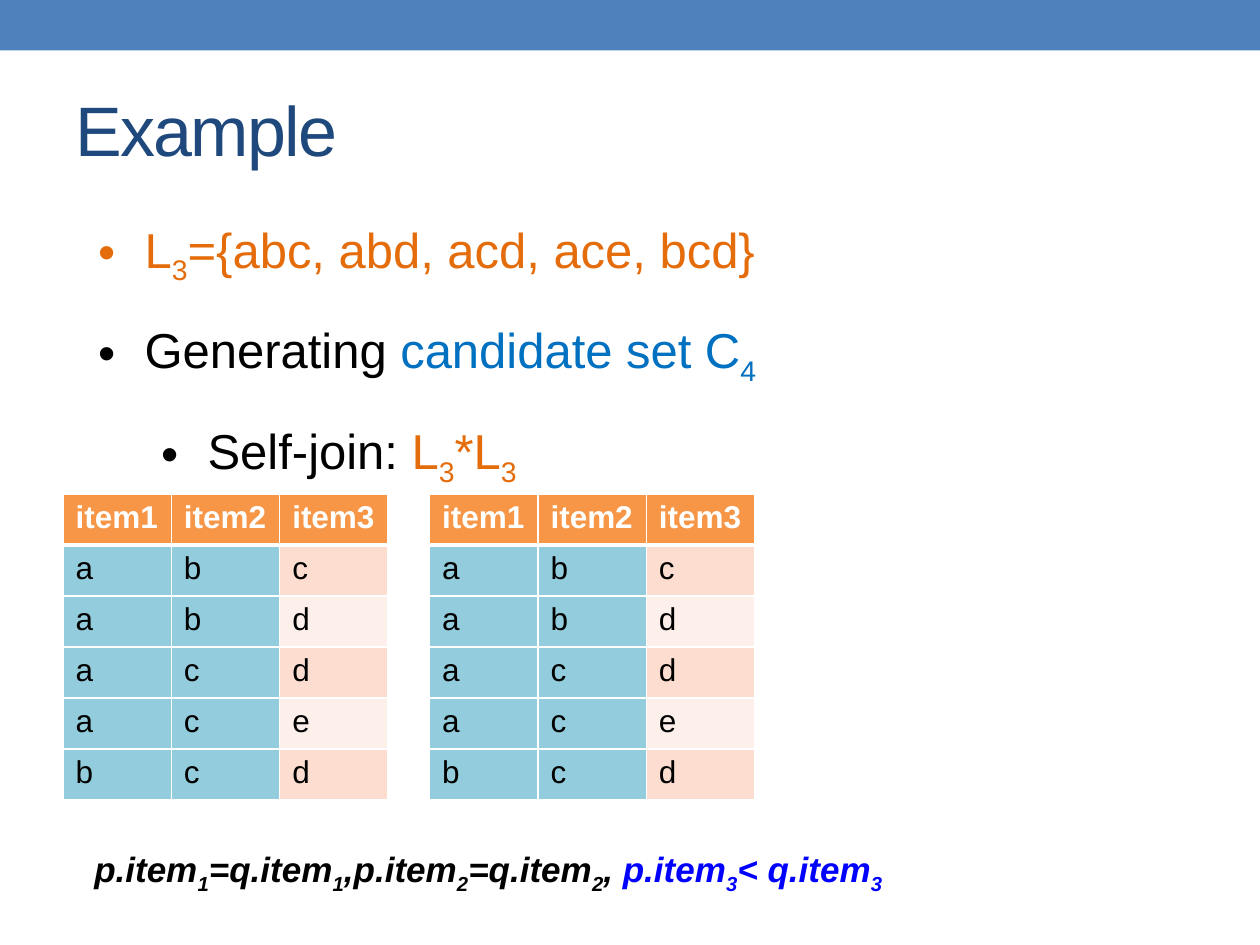
import pptx
import pptx.dml.color
import pptx.enum.shapes
import pptx.enum.text
import pptx.oxml.ns
import pptx.util
from lxml import etree

Inches = pptx.util.Inches
Pt = pptx.util.Pt
RGBColor = pptx.dml.color.RGBColor
qn = pptx.oxml.ns.qn

BLACK = RGBColor(0x00, 0x00, 0x00)
WHITE = RGBColor(0xFF, 0xFF, 0xFF)
BAND = RGBColor(0x4F, 0x81, 0xBD)
NAVY = RGBColor(0x1F, 0x49, 0x7D)
ORANGE = RGBColor(0xE4, 0x6C, 0x0A)
SKY = RGBColor(0x00, 0x70, 0xC0)
BLUE = RGBColor(0x00, 0x00, 0xFF)
HEADER = RGBColor(0xF7, 0x96, 0x46)
SHARED = RGBColor(0x93, 0xCD, 0xDD)
STRIPES = [RGBColor(0xFC, 0xDD, 0xCF), RGBColor(0xFD, 0xEF, 0xE9)]

# Content: spans are (text, colour); "_" comes before a subscript digit
TITLE = "Example"
BULLETS = [
    (0.37, [("L_3={abc, abd, acd, ace, bcd}", ORANGE)]),
    (0.37, [("Generating ", BLACK), ("candidate set C_4", SKY)]),
    (0.87, [("Self-join: ", BLACK), ("L_3*L_3", ORANGE)]),
]
CONDITION = [
    ("p.item_1=q.item_1,p.item_2=q.item_2, ", BLACK),
    ("p.item_3< q.item_3", BLUE),
]
ITEMS = [["item1", "item2", "item3"]] + [list(row) for row in ("abc", "abd", "acd", "ace", "bcd")]

# Layout
TABLE_LEFTS = [0.5, 3.41]
TABLE_TOP = 3.92
COLUMN_WIDTH = 0.86
ROW_HEIGHT = 0.405

TITLE_FORMAT = {"size": Pt(40)}
BULLET_FORMAT = {"size": Pt(28)}
CONDITION_FORMAT = {"size": Pt(20), "bold": True, "italic": True}


def add_span(para, text, color, formats):
    span = para.add_run()
    span.text = text
    span.font.name = "Arial"
    span.font.color.rgb = color
    for name, value in formats.items():
        setattr(span.font, name, value)
    return span


def add_spans(para, spans, formats):
    for text, color in spans:
        first, *rest = text.split("_")
        if first:
            add_span(para, first, color, formats)
        for piece in rest:
            digit = add_span(para, piece[0], color, formats)
            digit.font._element.set("baseline", "-25000")
            if piece[1:]:
                add_span(para, piece[1:], color, formats)


def add_box(page, left, top, width, height, wrap=True):
    box = page.shapes.add_textbox(Inches(left), Inches(top), Inches(width), Inches(height))
    box.text_frame.word_wrap = wrap
    return box.text_frame


def set_bullet(para, indent):
    properties = para._p.get_or_add_pPr()
    properties.set("marL", str(Inches(indent)))
    properties.set("indent", str(-Inches(0.37)))
    font = etree.SubElement(properties, qn("a:buFont"))
    font.set("typeface", "Arial")
    etree.SubElement(properties, qn("a:buChar")).set("char", "•")


def set_borders(cell, bottom):
    properties = cell._tc.get_or_add_tcPr()
    widths = {"a:lnL": 1, "a:lnR": 1, "a:lnT": 1, "a:lnB": bottom}
    for index, (tag, width) in enumerate(widths.items()):
        line = etree.Element(qn(tag), w=str(Pt(width)))
        fill = etree.SubElement(line, qn("a:solidFill"))
        etree.SubElement(fill, qn("a:srgbClr")).set("val", str(WHITE))
        properties.insert(index, line)


def add_item_table(page, left):
    rows, columns = len(ITEMS), len(ITEMS[0])
    table = page.shapes.add_table(
        rows, columns, Inches(left), Inches(TABLE_TOP),
        Inches(columns * COLUMN_WIDTH), Inches(rows * ROW_HEIGHT)).table
    for column in table.columns:
        column.width = Inches(COLUMN_WIDTH)
    for r, row in enumerate(ITEMS):
        table.rows[r].height = Inches(ROW_HEIGHT)
        header = r == 0
        for c, text in enumerate(row):
            cell = table.cell(r, c)
            body_fill = SHARED if c < 2 else STRIPES[(r - 1) % 2]
            cell.fill.solid()
            cell.fill.fore_color.rgb = HEADER if header else body_fill
            set_borders(cell, 3 if header else 1)
            add_span(cell.text_frame.paragraphs[0], text, WHITE if header else BLACK,
                     {"size": Pt(18), "bold": header})


def main():
    deck = pptx.Presentation()
    deck.slide_width, deck.slide_height = Inches(10), Inches(7.5)
    page = deck.slides.add_slide(deck.slide_layouts[6])

    # Top band
    band = page.shapes.add_shape(
        pptx.enum.shapes.MSO_SHAPE.RECTANGLE, 0, 0, Inches(10), Inches(0.4))
    band.shadow.inherit = False
    band.fill.solid()
    band.fill.fore_color.rgb = BAND
    band.line.fill.background()

    # Bullets
    frame = add_box(page, 0.68, 1.53, 7.33, 2.81)
    for number, (indent, spans) in enumerate(BULLETS):
        para = frame.add_paragraph() if number else frame.paragraphs[0]
        para.level = 1 if indent > 0.5 else 0
        para.line_spacing = 1.3
        para.space_before = Pt(8 if number else 0)
        set_bullet(para, indent)
        add_spans(para, spans, BULLET_FORMAT)

    # Title
    frame = add_box(page, 0.5, 0.58, 9, 1.08)
    frame.margin_top = Inches(0.11)
    title = add_span(frame.paragraphs[0], TITLE, NAVY, TITLE_FORMAT)
    title.font._element.set("spc", "-100")

    # Join condition
    frame = add_box(page, 0.65, 6.68, 6.62, 0.44, wrap=False)
    frame.auto_size = pptx.enum.text.MSO_AUTO_SIZE.SHAPE_TO_FIT_TEXT
    add_spans(frame.paragraphs[0], CONDITION, CONDITION_FORMAT)

    # The two joined tables
    for left in TABLE_LEFTS:
        add_item_table(page, left)

    deck.save("out.pptx")


if __name__ == "__main__":
    main()
